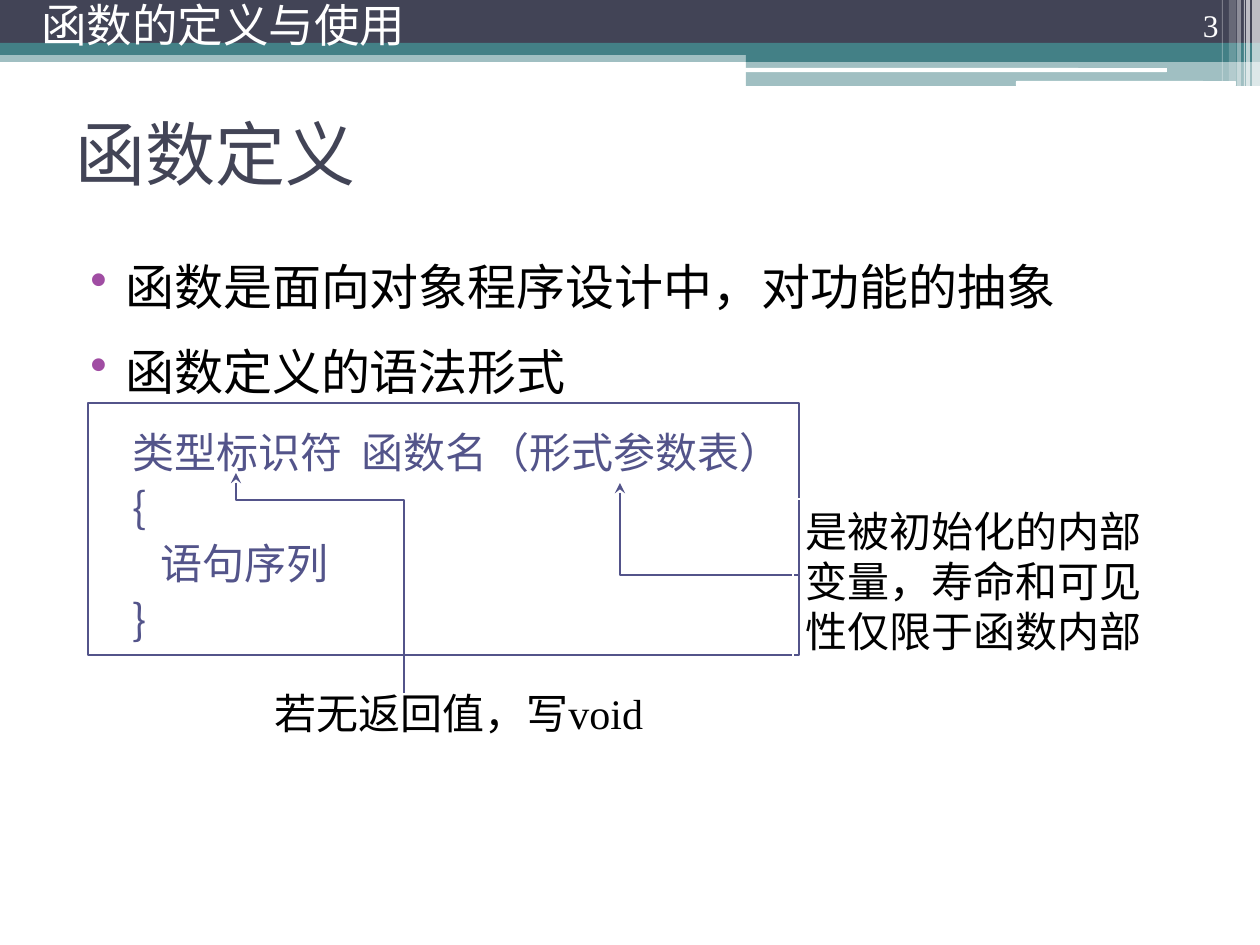
from lxml import etree
from pptx import Presentation, util as u
from pptx.dml.color import RGBColor
from pptx.enum import shapes, text
from pptx.oxml.ns import qn

HUES = {"navy": "424456", "teal": "438086", "white": "FFFFFF",
        "black": "000000", "plum": "A04DA3", "blue": "53548A"}
SANS = "Noto Sans CJK SC"
ROMAN = "Times New Roman"


def px(n):
    return u.Emu(round(n * 914400 / 126))


def hue(name):
    return RGBColor.from_string(HUES[name])


def sub(node, tag, **attrs):
    return etree.SubElement(node, qn(tag), attrs)


def write(frame, words, size=24, face=SANS, color="black", first=False,
          lead=None, before=0, after=0, align="LEFT", left=0, hang=0, dot=None):
    para = frame.paragraphs[0] if first else frame.add_paragraph()
    props = para._p.get_or_add_pPr()
    props.set("marL", str(px(left)))
    props.set("indent", str(-px(hang)))
    if dot:
        tint = sub(props, "a:buClr")
        sub(tint, "a:srgbClr", val=HUES[dot])
        sub(props, "a:buChar", char="•")
    else:
        sub(props, "a:buNone")
    if lead:
        para.line_spacing = lead
    para.space_before = u.Pt(0 if first else before)
    para.space_after = u.Pt(after)
    para.alignment = getattr(text.PP_ALIGN, align)
    run = para.add_run()
    run.text = words
    run.font.size = u.Pt(size)
    run.font.name = face
    run.font.color.rgb = hue(color)
    sub(run._r.get_or_add_rPr(), "a:ea", typeface=SANS)


class Deck:
    def __init__(self):
        self.show = Presentation()
        self.show.slide_width = px(1260)
        self.show.slide_height = px(945)
        self.slide = self.show.slides.add_slide(self.show.slide_layouts[5])

    def frame(self, shape, anchor="TOP", wrap=True):
        frame = shape.text_frame
        frame.word_wrap = wrap
        frame.auto_size = text.MSO_AUTO_SIZE.NONE
        frame.vertical_anchor = getattr(text.MSO_ANCHOR, anchor)
        return frame

    def title(self, words, box):
        shape = self.slide.shapes.title
        shape.left, shape.top, shape.width, shape.height = map(px, box)
        write(self.frame(shape, "MIDDLE"), words, size=40, face="Lato",
              color="navy", first=True)

    def label(self, box, anchor="TOP"):
        return self.frame(self.slide.shapes.add_textbox(*map(px, box)), anchor)

    def bar(self, box, color, alpha=100, kind="RECTANGLE"):
        shape = self.slide.shapes.add_shape(
            getattr(shapes.MSO_SHAPE, kind), *map(px, box))
        shape.shadow.inherit = False
        shape.line.fill.background()
        shape.fill.solid()
        shape.fill.fore_color.rgb = hue(color)
        if alpha < 100:
            tint = shape._element.spPr.find(".//" + qn("a:srgbClr"))
            sub(tint, "a:alpha", val=str(alpha * 1000))

    def stroke(self, shape, color, width):
        shape.shadow.inherit = False
        shape.fill.background()
        shape.line.color.rgb = hue(color)
        shape.line.width = u.Pt(width)

    def box(self, box, color, width=1):
        shape = self.slide.shapes.add_shape(
            shapes.MSO_SHAPE.RECTANGLE, *map(px, box))
        self.stroke(shape, color, width)
        return shape

    def note(self, words, box, wrap=True):
        shape = self.box(box, "white", 0.75)
        write(self.frame(shape, wrap=wrap), words, face=ROMAN,
              first=True, lead=u.Pt(28.8))

    def arrow(self, *points):
        start, *rest = [(px(x), px(y)) for x, y in points]
        build = self.slide.shapes.build_freeform(*start)
        build.add_line_segments(rest, close=False)
        shape = build.convert_to_shape()
        self.stroke(shape, "blue", 1)
        sub(shape.line._get_or_add_ln(), "a:headEnd", type="stealth")


def main():
    deck = Deck()
    for box, color, alpha in [
        ((0, 50, 1260, 12), "teal", 50),
        ((0, 0, 1260, 43), "navy", 100),
        ((0, 43, 1260, 12), "teal", 100),
        ((746, 49, 514, 13), "teal", 100),
        ((746, 61, 514, 25), "teal", 50),
    ]:
        deck.bar(box, color, alpha)
    for box in [(745, 68, 422, 4), (1016, 81, 220, 5)]:
        deck.bar(box, "white", kind="ROUNDED_RECTANGLE")
    for left, width, high, alpha in [
        (1252, 8, 86, 65), (1246, 4, 86, 65), (1244, 1, 86, 60),
        (1237, 4, 86, 40), (1229, 7, 81, 20), (1222, 1, 81, 30),
    ]:
        deck.bar((left, 0, width, high), "white", alpha)

    deck.title("函数定义", (63, 79, 1134, 147))
    body = deck.label((63, 250, 1134, 656))
    for i, words in enumerate(["函数是面向对象程序设计中，对功能的抽象",
                               "函数定义的语法形式"]):
        write(body, words, size=28, first=i == 0, lead=u.Pt(33.6),
              before=3, after=12, left=50, hang=35, dot="plum")
    for words in ["类型标识符  函数名（形式参数表）", "{", "   语句序列", "}"]:
        write(body, words, color="blue", lead=u.Pt(28.8), before=3,
              left=91, hang=34)

    write(deck.label((1126, 0, 105, 50), "BOTTOM"), "3", size=18, face=ROMAN,
          color="white", first=True, align="RIGHT")
    write(deck.label((29, 0, 718, 59), "MIDDLE"), "函数的定义与使用", size=26,
          face="Lato", color="white", first=True, lead=0.8)

    deck.box((88, 403, 711, 252), "blue")
    deck.arrow((620, 483), (620, 575), (799, 575))
    deck.note("是被初始化的内部变量，寿命和可见性仅限于函数内部",
              (793, 499, 378, 164))
    deck.note("若无返回值，写void", (262, 681, 404, 63), wrap=False)
    deck.arrow((236, 473), (236, 500), (404, 500), (404, 693))
    deck.show.save("out.pptx")


if __name__ == "__main__":
    main()
